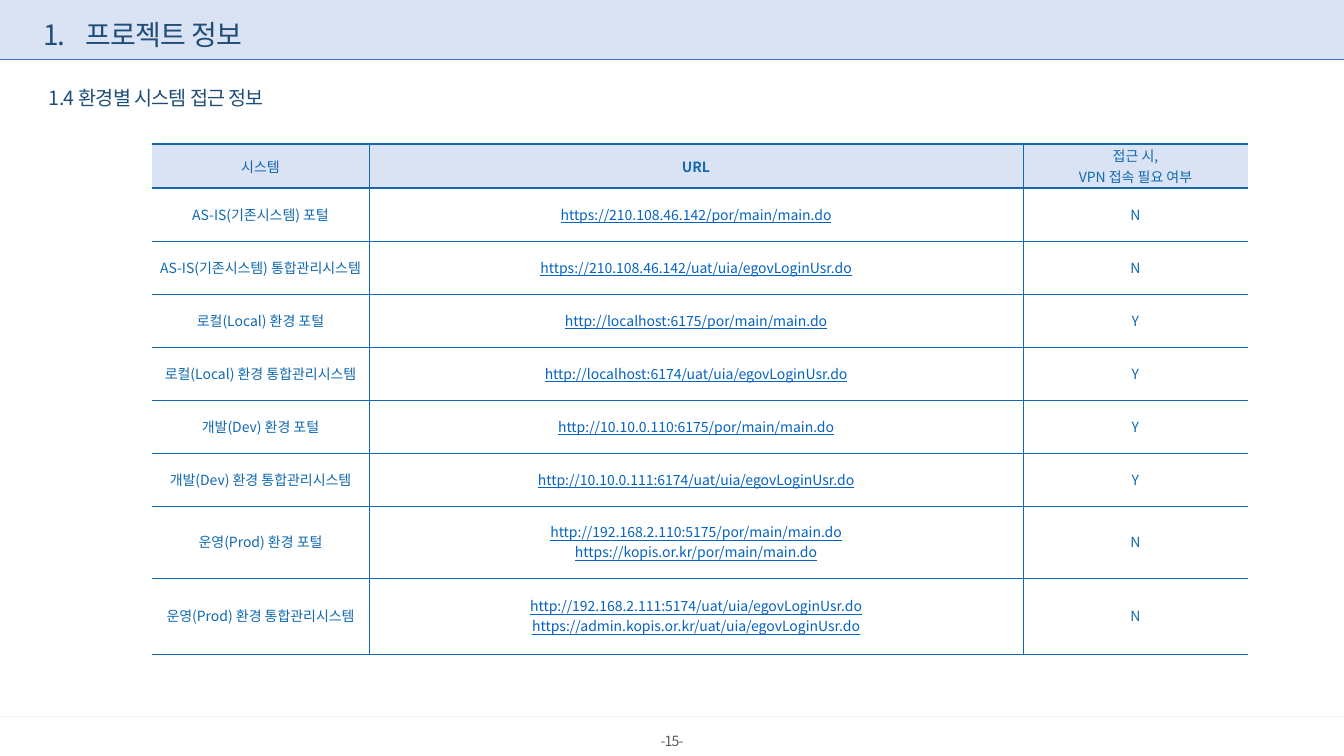
from lxml import etree
from pptx import Presentation
from pptx import util as u
from pptx.dml.color import RGBColor
from pptx.enum import shapes, text
from pptx.oxml import ns

PX = 12192000 / 1344
FONT = "Noto Sans CJK KR"
PALE_BLUE = RGBColor(0xDA, 0xE3, 0xF3)
NAVY = RGBColor(0x1F, 0x4E, 0x79)
TABLE_BLUE = RGBColor(0x10, 0x69, 0xB1)
LINK_BLUE = RGBColor(0x05, 0x63, 0xC1)
RULE_BLUE = RGBColor(0x44, 0x72, 0xC4)
FOOT_RULE = RGBColor(0xEB, 0xF2, 0xF9)
GREY = RGBColor(0x59, 0x59, 0x59)
LEFT, CENTER = text.PP_ALIGN.LEFT, text.PP_ALIGN.CENTER

HEADINGS = ("시스템", "URL", "접근 시,\nVPN 접속 필요 여부")
SYSTEMS = [
    ("AS-IS(기존시스템) 포털", "https://210.108.46.142/por/main/main.do", "N"),
    ("AS-IS(기존시스템) 통합관리시스템", "https://210.108.46.142/uat/uia/egovLoginUsr.do", "N"),
    ("로컬(Local) 환경 포털", "http://localhost:6175/por/main/main.do", "Y"),
    ("로컬(Local) 환경 통합관리시스템", "http://localhost:6174/uat/uia/egovLoginUsr.do", "Y"),
    ("개발(Dev) 환경 포털", "http://10.10.0.110:6175/por/main/main.do", "Y"),
    ("개발(Dev) 환경 통합관리시스템", "http://10.10.0.111:6174/uat/uia/egovLoginUsr.do", "Y"),
    ("운영(Prod) 환경 포털",
     "http://192.168.2.110:5175/por/main/main.do\vhttps://kopis.or.kr/por/main/main.do", "N"),
    ("운영(Prod) 환경 통합관리시스템",
     "http://192.168.2.111:5174/uat/uia/egovLoginUsr.do\v"
     "https://admin.kopis.or.kr/uat/uia/egovLoginUsr.do", "N"),
]
COLUMN_WIDTHS = (217, 654, 225)
ROW_HEIGHTS = (44, 53, 53, 53, 53, 53, 53, 72, 76)


def px(value):
    return u.Emu(round(value * PX))


class SlideBuilder:
    def __init__(self, slide):
        self.slide = slide

    def style(self, paragraph, size, color, align, bold=False, underline=False):
        paragraph.alignment = align
        font = paragraph.font
        font.size, font.name, font.bold, font.underline = u.Pt(size), FONT, bold, underline
        font.color.rgb = color
        east_asian = etree.SubElement(font._rPr, ns.qn("a:ea"))
        east_asian.set("typeface", FONT)

    def place_text(self, shape, box, words, size, color, align=LEFT, tab=None):
        shape.left, shape.top, shape.width, shape.height = map(px, box)
        frame = shape.text_frame
        frame.text = words
        frame.word_wrap = True
        frame.auto_size = text.MSO_AUTO_SIZE.NONE
        frame.vertical_anchor = text.MSO_ANCHOR.MIDDLE
        paragraph = frame.paragraphs[0]
        paragraph.line_spacing = 0.9
        paragraph.space_before = u.Pt(0)
        if tab:
            tabs = etree.SubElement(paragraph._p.get_or_add_pPr(), ns.qn("a:tabLst"))
            etree.SubElement(tabs, ns.qn("a:tab"), pos=str(px(tab)), algn="l")
        self.style(paragraph, size, color, align)
        paragraph.font._rPr.set("spc", "-50")

    def title(self, box, words, **options):
        shape = self.slide.shapes.title
        self.slide.shapes._spTree.append(shape._element)  # bring in front of the band
        self.place_text(shape, box, words, 20, NAVY, **options)

    def label(self, box, *args, **options):
        shape = self.slide.shapes.add_textbox(*map(px, box))
        self.place_text(shape, box, *args, **options)

    def band(self, box, color):
        shape = self.slide.shapes.add_shape(shapes.MSO_SHAPE.RECTANGLE, *map(px, box))
        shape.shadow.inherit = False
        shape.fill.solid()
        shape.fill.fore_color.rgb = color
        shape.line.fill.background()

    def rule(self, y, color):
        line = self.slide.shapes.add_connector(
            shapes.MSO_CONNECTOR.STRAIGHT, 0, px(y), px(1344), px(y))
        line.line.color.rgb = color
        line.line.width = u.Pt(0.5)
        etree.SubElement(line._element.spPr, ns.qn("a:effectLst"))

    def borders(self, cell, widths):
        properties = cell._tc.get_or_add_tcPr()
        for index, (side, width) in enumerate(zip("LRTB", widths)):
            line = etree.Element(ns.qn(f"a:ln{side}"), w=str(u.Pt(width)))
            if width:
                fill = etree.SubElement(line, ns.qn("a:solidFill"))
                etree.SubElement(fill, ns.qn("a:srgbClr"), val=str(TABLE_BLUE))
            else:
                etree.SubElement(line, ns.qn("a:noFill"))
            properties.insert(index, line)

    def table(self, left, top, rows, column_widths, row_heights):
        table = self.slide.shapes.add_table(
            len(rows), len(column_widths), px(left), px(top),
            px(sum(column_widths)), px(sum(row_heights))).table
        table.first_row = table.horz_banding = False
        for column, width in zip(table.columns, column_widths):
            column.width = px(width)
        last = len(column_widths) - 1
        for r, (values, height) in enumerate(zip(rows, row_heights)):
            table.rows[r].height = px(height)
            for c, value in enumerate(values):
                cell = table.cell(r, c)
                self.fill_cell(cell, value, header=r == 0, url=c == 1)
                self.borders(cell, (0.25 if c else 0, 0.25 if c < last else 0,
                                    1.5 if r < 2 else 0.25, 0.25 if r else 1.5))

    def fill_cell(self, cell, value, header, url):
        cell.text = value
        cell.vertical_anchor = text.MSO_ANCHOR.MIDDLE
        cell.margin_left = cell.margin_right = cell.margin_top = cell.margin_bottom = px(1)
        if header:
            cell.fill.solid()
            cell.fill.fore_color.rgb = PALE_BLUE
        else:
            cell.fill.background()
        link = url and not header
        for paragraph in cell.text_frame.paragraphs:
            self.style(paragraph, 10, LINK_BLUE if link else TABLE_BLUE, CENTER,
                       bold=url and header, underline=link)


def main():
    presentation = Presentation()
    presentation.slide_width, presentation.slide_height = px(1344), px(756)
    builder = SlideBuilder(presentation.slides.add_slide(presentation.slide_layouts[5]))

    # Header band and footer
    builder.band((0, 0, 1344, 59), PALE_BLUE)
    builder.label((629, 730, 86, 24), "-15-", 10, GREY, align=CENTER)
    builder.rule(716, FOOT_RULE)
    builder.rule(59, RULE_BLUE)

    # Headings
    builder.title((33, 15, 406, 43), "1.\t프로젝트 정보", tab=42)
    builder.label((39, 85, 452, 28), "1.4 환경별 시스템 접근 정보", 14, NAVY)

    # Access table
    builder.table(152, 144, [HEADINGS, *SYSTEMS], COLUMN_WIDTHS, ROW_HEIGHTS)

    presentation.save("out.pptx")


if __name__ == "__main__":
    main()
